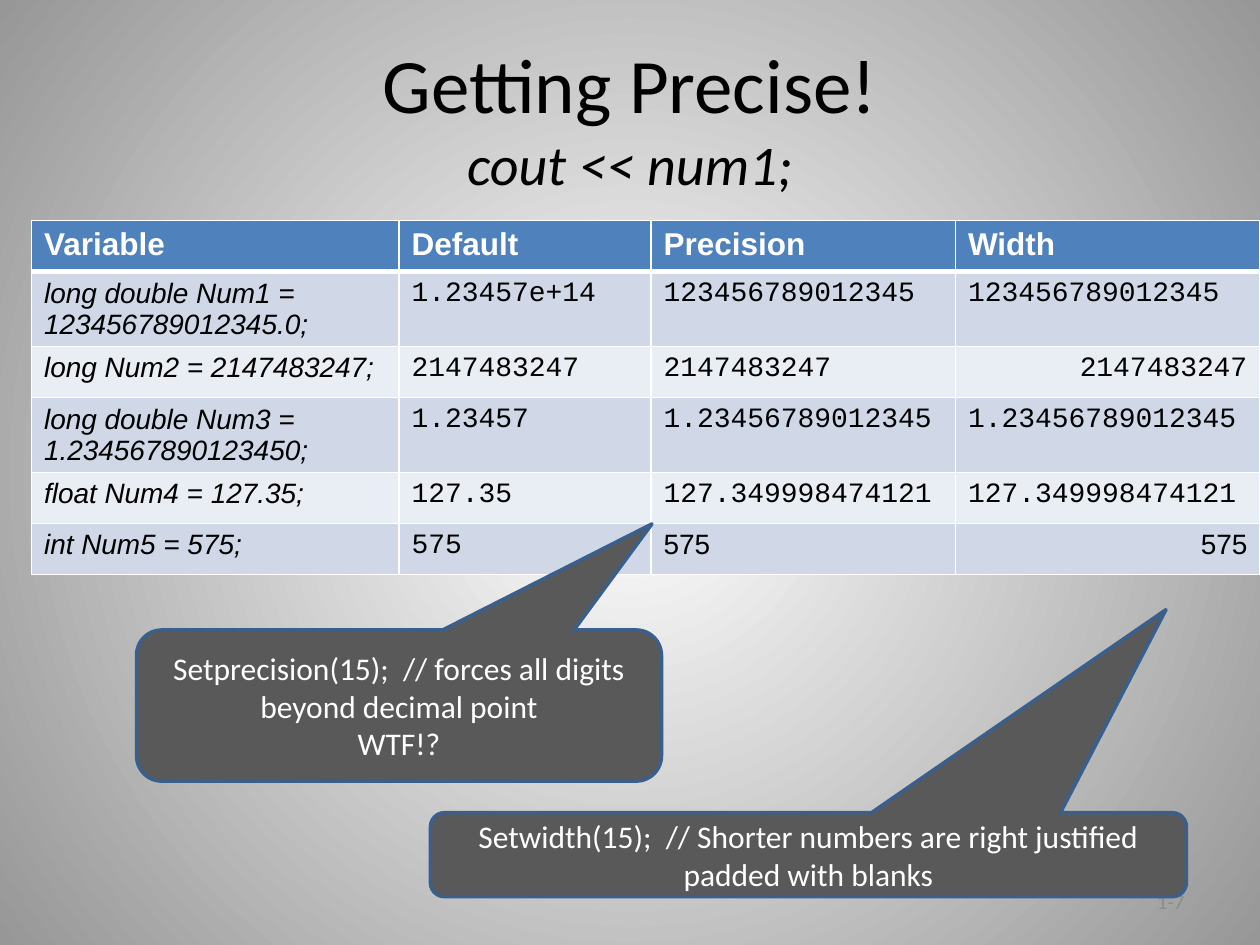
import dataclasses

import lxml.etree
import pptx
import pptx.dml.color
import pptx.enum.shapes
import pptx.enum.text
import pptx.oxml.ns
import pptx.util

Pt = pptx.util.Pt
Align = pptx.enum.text.PP_ALIGN
Anchor = pptx.enum.text.MSO_ANCHOR
qn = pptx.oxml.ns.qn


@dataclasses.dataclass(frozen=True)
class Theme:
    """Colours, fonts and type sizes of the slide."""
    white: str = "FFFFFF"
    black: str = "000000"
    edge: str = "979797"
    head: str = "4F81BD"
    bands: tuple = ("D0D8E8", "E9EDF4")
    note: str = "595959"
    line: str = "3A5F8C"
    faint: str = "8C8C8C"
    body: str = "Calibri"
    sans: str = "Arial"
    mono: str = "Courier New"
    title: int = 44
    sub: int = 32
    large: int = 18
    cell: int = 16
    small: int = 12


THEME = Theme()

HEADS = ("Variable", "Default", "Precision", "Width")
ROWS = (
    ("long double Num1 = 123456789012345.0;", "1.23457e+14",
     "123456789012345", "123456789012345"),
    ("long Num2 = 2147483247;", "2147483247", "2147483247", "2147483247"),
    ("long double Num3 = 1.234567890123450;", "1.23457",
     "1.23456789012345", "1.23456789012345"),
    ("float Num4 = 127.35;", "127.35", "127.349998474121",
     "127.349998474121"),
    ("int Num5 = 575;", "575", "575", "575"),
)
PADDED = {(2, 3), (5, 3)}
PLAIN = {(5, 2), (5, 3)}
WIDTHS = (210, 144, 174, 174)
NOTES = (
    ((78, 360, 300, 86.4), (0.482, -1.202, 0.167),
     ("Setprecision(15);  // forces all digits beyond decimal point",
      "WTF!?")),
    ((246, 464.4, 432, 48), (0.473, -2.918, 0.167),
     ("Setwidth(15);  // Shorter numbers are right justified padded with "
      "blanks",)),
)


def tint(text):
    """Return the colour for a hex string."""
    return pptx.dml.color.RGBColor.from_string(text)


def paint(part, hue):
    """Give a part a solid fill."""
    part.fill.solid()
    part.fill.fore_color.rgb = tint(hue)


def write(para, text, hue, align=Align.LEFT, **style):
    """Add a run to a paragraph and style it."""
    para.alignment = align
    run = para.add_run()
    run.text = text
    run.font.color.rgb = tint(hue)
    for key, value in style.items():
        setattr(run.font, key, value)


def frame(shape, anchor=Anchor.MIDDLE):
    """Set wrapping and anchor, and return the text frame."""
    text = shape.text_frame
    for key, value in {"word_wrap": True, "vertical_anchor": anchor}.items():
        setattr(text, key, value)
    return text


def backdrop(slide):
    """Fill the background with a gradient from the centre out."""
    fill = slide.background.fill
    fill.gradient()
    for stop, hue in zip(fill.gradient_stops, (THEME.white, THEME.edge)):
        stop.color.rgb = tint(hue)
    grad = slide.element.find(".//" + qn("a:gradFill"))
    grad.remove(grad.find(qn("a:lin")))
    round_ = lxml.etree.SubElement(grad, qn("a:path"), {"path": "circle"})
    lxml.etree.SubElement(round_, qn("a:fillToRect"),
                          {side: "50000" for side in "ltrb"})


def title(slide, box):
    """Place the two-line title."""
    shape = slide.shapes.title
    for key, value in zip(("left", "top", "width", "height"), box):
        setattr(shape, key, Pt(value))
    para = frame(shape).paragraphs[0]
    look = {"hue": THEME.black, "align": Align.CENTER, "name": THEME.body}
    write(para, "Getting Precise!", size=Pt(THEME.title), **look)
    para.add_line_break()
    write(para, "cout << num1;", size=Pt(THEME.sub), italic=True, **look)


def border(cell, base):
    """Draw white lines around a cell, with the given base width."""
    props = cell._tc.get_or_add_tcPr()
    for side, width in zip("LRTB", (1, 1, 1, base)):
        line = lxml.etree.SubElement(props, qn("a:ln" + side),
                                     {"w": str(Pt(width))})
        solid = lxml.etree.SubElement(line, qn("a:solidFill"))
        lxml.etree.SubElement(solid, qn("a:srgbClr"), {"val": THEME.white})


def grid(slide, box, high):
    """Place the table of variables and their printed forms."""
    data = (HEADS,) + ROWS
    table = slide.shapes.add_table(len(data), len(HEADS),
                                   *map(Pt, box)).table
    for col, width in zip(table.columns, WIDTHS):
        col.width = Pt(width)
    for i, row in enumerate(data):
        table.rows[i].height = Pt(high)
        for j, text in enumerate(row):
            cell = table.cell(i, j)
            border(cell, 1 if i else 3)
            paint(cell, THEME.bands[(i - 1) % 2] if i else THEME.head)
            sans = i == 0 or j == 0 or (i, j) in PLAIN
            write(cell.text_frame.paragraphs[0], text,
                  THEME.black if i else THEME.white,
                  Align.RIGHT if (i, j) in PADDED else Align.LEFT,
                  name=THEME.sans if sans else THEME.mono,
                  size=Pt(THEME.cell if i else THEME.large),
                  bold=i == 0, italic=i > 0 and j == 0)


def number(slide, box):
    """Place the page number."""
    text = frame(slide.shapes.add_textbox(*map(Pt, box)))
    write(text.paragraphs[0], "1-7", THEME.faint, Align.RIGHT,
          name=THEME.body, size=Pt(THEME.small))


def callout(slide, box, tip, lines):
    """Place a rounded callout whose tail ends at the tip."""
    kind = pptx.enum.shapes.MSO_SHAPE.ROUNDED_RECTANGULAR_CALLOUT
    shape = slide.shapes.add_shape(kind, *map(Pt, box))
    shape.shadow.inherit = False
    paint(shape, THEME.note)
    shape.line.color.rgb = tint(THEME.line)
    shape.line.width = Pt(2)
    for i, value in enumerate(tip):
        shape.adjustments[i] = value
    text = frame(shape)
    for i, line in enumerate(lines):
        para = text.add_paragraph() if i else text.paragraphs[0]
        write(para, line, THEME.white, Align.CENTER,
              name=THEME.body, size=Pt(THEME.large))


def main():
    """Build and save the slide."""
    deck = pptx.Presentation()
    deck.slide_width, deck.slide_height = Pt(720), Pt(540)
    slide = deck.slides.add_slide(deck.slide_layouts.get_by_name("Title Only"))
    backdrop(slide)
    title(slide, (36, 21.6, 648, 90))
    grid(slide, (18, 126, 702, 208), 29.2)
    number(slide, (516, 500.5, 168, 28.75))
    for box, tip, lines in NOTES:
        callout(slide, box, tip, lines)
    deck.save("out.pptx")


if __name__ == "__main__":
    main()
